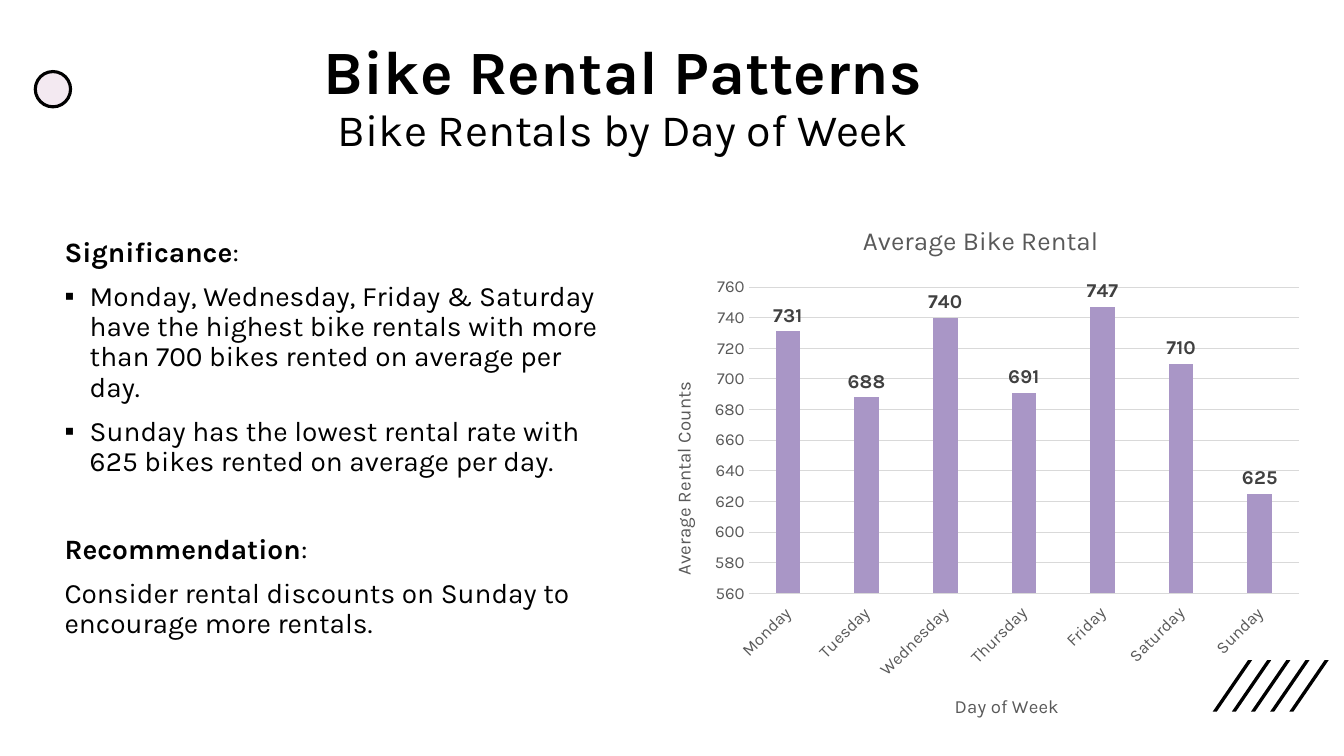
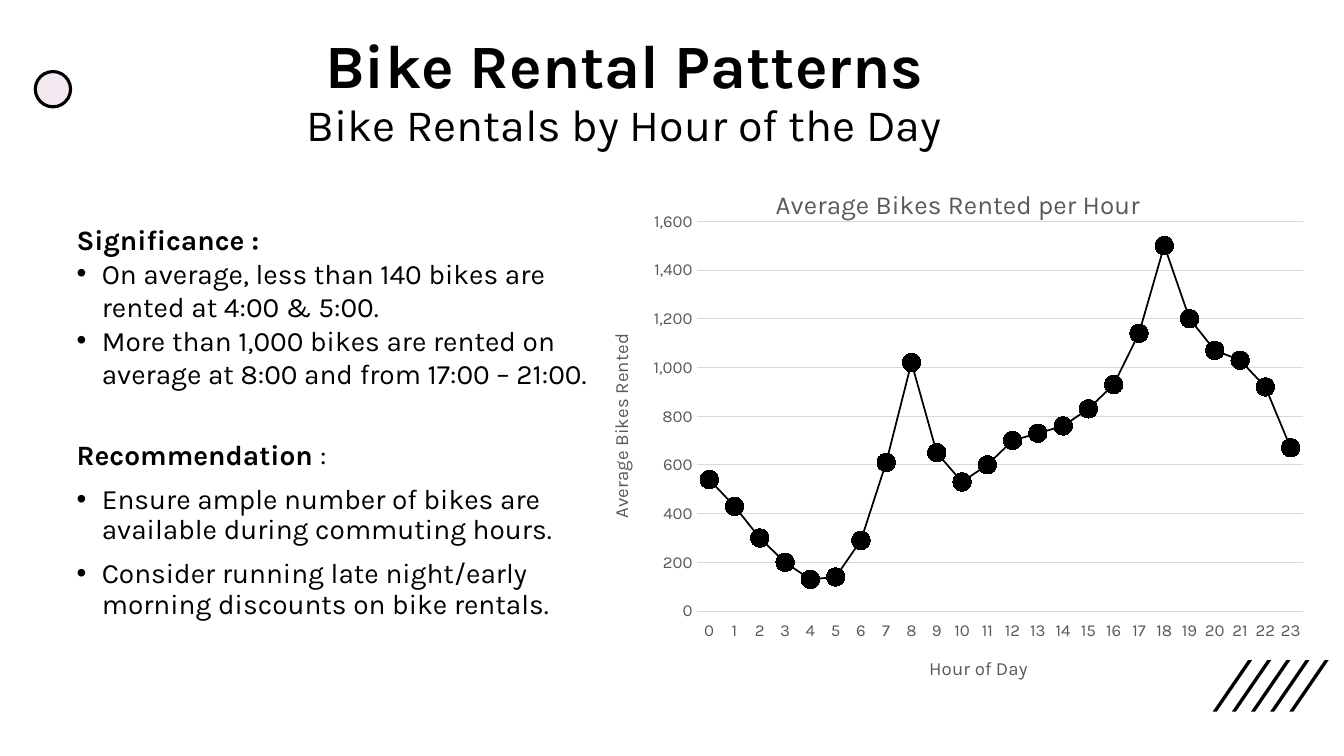
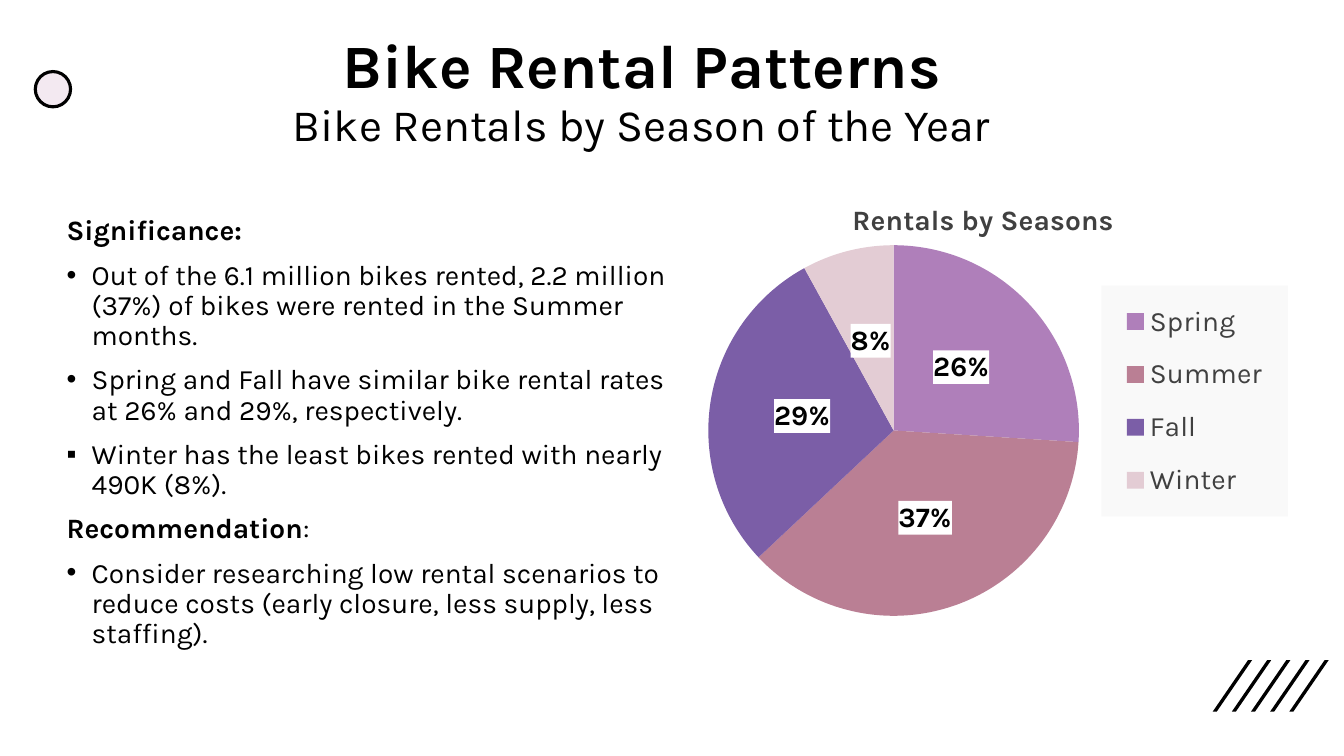
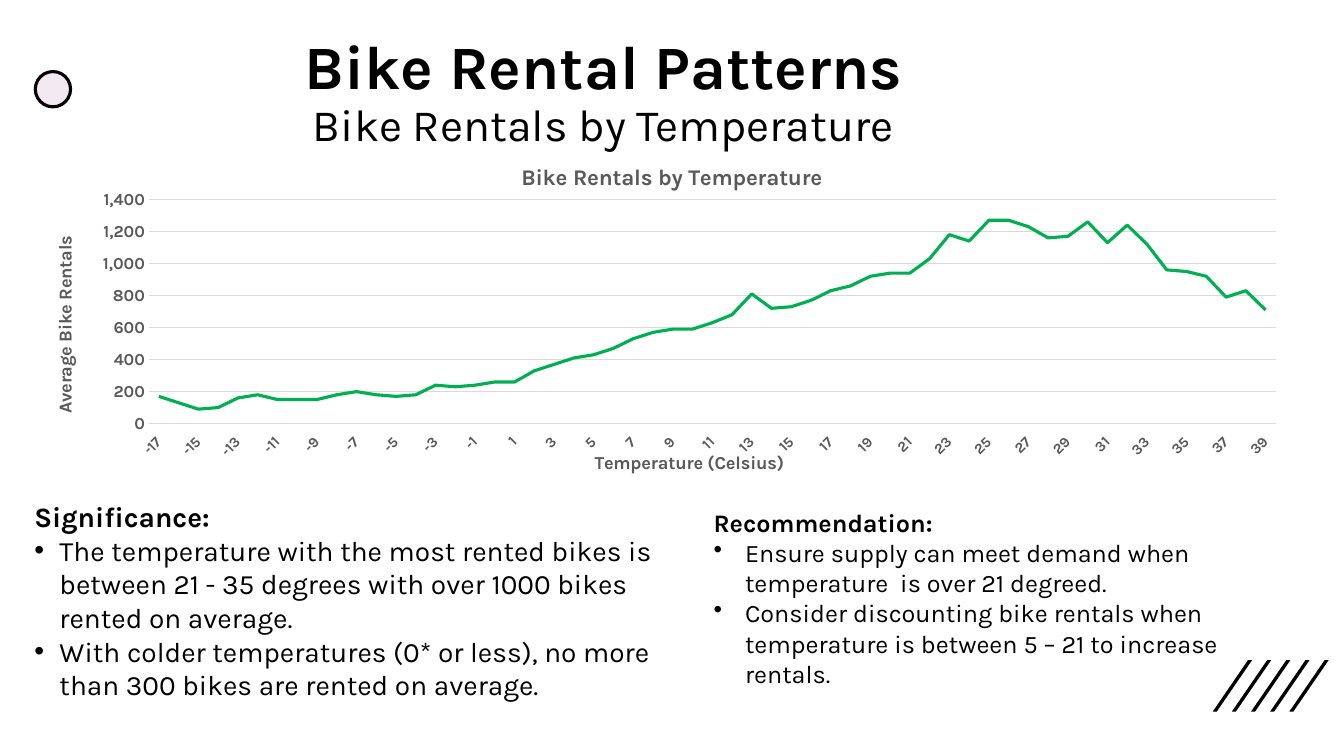
"""Builds four slides on bike rental patterns, each with a chart and findings."""
from pptx import Presentation, oxml
from pptx import util as u
from pptx.chart import data
from pptx.dml import color
from pptx.enum import chart as kinds, shapes, text
from pptx.oxml import ns

FONT = "Karla"
COLORS = {
    "ink": "000000", "blush": "F3E9F1", "white": "FFFFFF", "grey": "595959",
    "charcoal": "404040", "grid": "D9D9D9", "mist": "F9F9F9",
    "lilac": "A996C6", "green": "00B050",
    "spring": "AF7FBA", "summer": "BA7F94", "fall": "7B5EA7", "winter": "E3CCD4",
}
AUTO_ROTATION = -60000000

DAYS = ["Monday", "Tuesday", "Wednesday", "Thursday", "Friday", "Saturday", "Sunday"]
DAY_RENTALS = [731, 688, 740, 691, 747, 710, 625]
HOUR_RENTALS = [540, 430, 300, 200, 130, 140, 290, 610, 1020, 650, 530, 600,
                700, 730, 760, 830, 930, 1140, 1500, 1200, 1070, 1030, 920, 670]
SEASONS = {"Spring": 26, "Summer": 37, "Fall": 29, "Winter": 8}
DEGREES = range(-17, 40)
DEGREE_RENTALS = [170, 130, 90, 100, 160, 180, 150, 150, 150, 180, 200, 180, 170, 180,
                  240, 230, 240, 260, 260, 330, 370, 410, 430, 470, 530, 570, 590, 590,
                  630, 680, 810, 720, 730, 770, 830, 860, 920, 940, 940, 1030, 1180,
                  1140, 1270, 1270, 1230, 1160, 1170, 1260, 1130, 1240, 1120, 960, 950,
                  920, 790, 830, 710]


def rgb(name):
    """Return the named colour."""
    return color.RGBColor.from_string(COLORS[name])


def paint(fill, name):
    """Make a fill solid in the named colour."""
    fill.solid()
    fill.fore_color.rgb = rgb(name)


def style_font(font, size, name="ink", bold=None):
    """Set typeface, size, colour and weight."""
    font.name, font.size, font.bold = FONT, u.Pt(size), bold
    font.color.rgb = rgb(name)


def place(shape, left, top, width, height):
    """Position a shape, in points."""
    shape.left, shape.top = u.Pt(left), u.Pt(top)
    shape.width, shape.height = u.Pt(width), u.Pt(height)


def decorate_layout(layout, page):
    """Give the layout its circle and slanted stripes, drawn by way of a page."""
    for holder in list(layout.placeholders):
        if holder.placeholder_format.idx >= 10:
            holder.element.getparent().remove(holder.element)
    stripes = page.shapes.add_group_shape()
    for index in range(5):
        left = 866.2 + 13.68 * index
        outline = stripes.shapes.build_freeform(u.Pt(left), u.Pt(508.3))
        corners = [(left + 25.2, 471.6), (left + 28.1, 471.6), (left + 2.9, 508.3)]
        outline.add_line_segments([(u.Pt(x), u.Pt(y)) for x, y in corners])
        stripe = outline.convert_to_shape()
        stripe.shadow.inherit = False
        paint(stripe.fill, "ink")
        stripe.line.fill.background()
    circle = page.shapes.add_shape(
        shapes.MSO_SHAPE.OVAL, u.Pt(25.2), u.Pt(51.1), u.Pt(25.2), u.Pt(25.2))
    circle.shadow.inherit = False
    paint(circle.fill, "blush")
    circle.line.color.rgb = rgb("ink")
    circle.line.width = u.Pt(2.25)
    for shape in (stripes, circle):
        layout.shapes.element.append(shape.element)


def write_title(page, subtitle, left, top):
    """Fill the title with the shared heading and a lighter subtitle."""
    title = page.shapes.title
    place(title, left, top, 828, 104.4)
    frame = title.text_frame
    frame.auto_size = text.MSO_AUTO_SIZE.NONE
    frame.vertical_anchor = text.MSO_ANCHOR.MIDDLE
    para = frame.paragraphs[0]
    para.alignment = text.PP_ALIGN.CENTER
    para.line_spacing = 0.9
    heading = para.add_run()
    heading.text = "Bike Rental Patterns"
    para.add_line_break()
    detail = para.add_run()
    detail.text = subtitle
    style_font(heading.font, 44, bold=True)
    style_font(detail.font, 32, bold=False)


def open_body(page, *box):
    """Place the body placeholder and return its text frame."""
    body = page.placeholders[1]
    place(body, *box)
    body.text_frame.auto_size = text.MSO_AUTO_SIZE.NONE
    return body.text_frame


def start_para(frame, size, before, spacing, bullet=None, indent=0):
    """Open the next paragraph with its spacing, bullet and font."""
    para = frame.paragraphs[0]
    if para.runs:
        para = frame.add_paragraph()
    props = para._p.get_or_add_pPr()
    props.set("marL", str(u.Pt(indent)))
    props.set("indent", str(-u.Pt(indent)))
    mark = f'<a:buChar {ns.nsdecls("a")} char="{bullet}"/>' if bullet else f'<a:buNone {ns.nsdecls("a")}/>'
    props.append(oxml.parse_xml(mark))
    para.alignment = text.PP_ALIGN.LEFT
    para.space_before = u.Pt(before)
    para.line_spacing = spacing
    style_font(para.font, size)
    return para


def write_heading(frame, words, tail="", size=20, before=10, spacing=0.9):
    """Write a bold heading with an optional regular tail."""
    para = start_para(frame, size, before, spacing)
    for part, bold in ((words, True), (tail, False)):
        if part:
            span = para.add_run()
            span.text = part
            span.font.bold = bold


def write_points(frame, *points, bullet="•", size=20, before=10, spacing=0.9, indent=18):
    """Write one paragraph for each point."""
    for words in points:
        para = start_para(frame, size, before, spacing, bullet, indent)
        para.add_run().text = words


def set_layout(parent, index, left, top, width, height, inner=False):
    """Fix the place of a chart part, as fractions of the chart."""
    for old in parent.xpath("./c:layout"):
        parent.remove(old)
    target = '<c:layoutTarget val="inner"/>' if inner else ""
    parent.insert(index, oxml.parse_xml(
        f'<c:layout {ns.nsdecls("c")}><c:manualLayout>{target}'
        '<c:xMode val="edge"/><c:yMode val="edge"/>'
        f'<c:x val="{left}"/><c:y val="{top}"/><c:w val="{width}"/><c:h val="{height}"/>'
        '</c:manualLayout></c:layout>'))


def fill_behind(element, name):
    """Fill the background of a legend or of data labels."""
    backing = oxml.parse_xml(
        f'<c:spPr {ns.nsdecls("c", "a")}><a:solidFill><a:srgbClr val="{COLORS[name]}"/>'
        '</a:solidFill></c:spPr>')
    element.xpath("./c:txPr")[0].addprevious(backing)


def write_caption(owner, words, size, name="grey", bold=False):
    """Write the title of a chart or an axis."""
    para = owner.text_frame.paragraphs[0]
    para.add_run().text = words
    style_font(para.font, size, name, bold)


def add_chart(page, kind, box, plot, categories, values, title, size, name="grey", bold=False):
    """Add a one-series chart with a title and a fixed plot area."""
    figures = data.CategoryChartData(number_format="0")
    figures.categories = [str(category) for category in categories]
    figures.add_series("Series 1", values)
    chart = page.shapes.add_chart(kind, *[u.Pt(length) for length in box], figures).chart
    style_font(chart.font, 10)
    chart.has_legend = False
    write_caption(chart.chart_title, title, size, name, bold)
    chart.chart_title.include_in_layout = False
    set_layout(chart.element.xpath(".//c:plotArea")[0], 0, *plot, inner=True)
    chart.plots[0].vary_by_categories = kind == kinds.XL_CHART_TYPE.PIE
    return chart, chart.plots[0].series[0]


def style_axis(axis, title, title_size, size, bold):
    """Apply the shared look of both axes."""
    axis.major_tick_mark = axis.minor_tick_mark = kinds.XL_TICK_MARK.NONE
    style_font(axis.tick_labels.font, size, "grey", bold)
    write_caption(axis.axis_title, title, title_size, bold=bold)


def style_axes(chart, titles, limits, number_format, title_size=13.3, size=12,
               bold=False, rotation=AUTO_ROTATION):
    """Format the category and value axes."""
    across, upright = chart.category_axis, chart.value_axis
    style_axis(across, titles[0], title_size, size, bold)
    style_axis(upright, titles[1], title_size, 12, bold)
    across.tick_label_position = kinds.XL_TICK_LABEL_POSITION.LOW
    across.has_major_gridlines = False
    turn = across.tick_labels.font and across._element.xpath("./c:txPr/a:bodyPr")[0]
    turn.set("rot", str(rotation))
    turn.set("vert", "horz")
    upright.axis_title.text_frame._txBody.bodyPr.set("rot", "-5400000")
    upright.minimum_scale, upright.maximum_scale, upright.major_unit = limits
    upright.tick_labels.number_format = number_format
    upright.tick_labels.number_format_is_linked = False
    upright.format.line.fill.background()
    for line in (across.format.line, upright.major_gridlines.format.line):
        line.color.rgb = rgb("grid")
        line.width = u.Pt(0.75)


def style_line(series, name, width):
    """Draw a straight series line."""
    series.smooth = False
    series.format.line.color.rgb = rgb(name)
    series.format.line.width = u.Pt(width)


def fill_day_page(page):
    """Show rentals by day of week."""
    write_title(page, "Bike Rentals by Day of Week", 31, 18)
    frame = open_body(page, 38.9, 166.3, 403.2, 330.5)
    write_heading(frame, "Significance", ":")
    write_points(
        frame,
        "Monday, Wednesday, Friday & Saturday have the highest bike rentals with more than 700 bikes rented on average per day.",
        "Sunday has the lowest rental rate with 625 bikes rented on average per day.",
        bullet="▪")
    write_heading(frame, "Recommendation", ":", before=41)
    write_points(frame, "Consider rental discounts on Sunday to encourage more rentals.",
                 bullet=None, indent=0)
    chart, series = add_chart(
        page, kinds.XL_CHART_TYPE.COLUMN_CLUSTERED, (463.7, 144.7, 473.8, 377.3),
        (0.15, 0.16, 0.83, 0.58), DAYS, DAY_RENTALS, "Average Bike Rental", 18.6)
    style_axes(chart, ("Day of Week", "Average Rental Counts"), (560, 760, 20), "0",
               rotation=-2700000)
    chart.plots[0].gap_width, chart.plots[0].overlap = 219, -27
    paint(series.format.fill, "lilac")
    labels = series.data_labels
    labels.show_value = True
    labels.position = kinds.XL_LABEL_POSITION.OUTSIDE_END
    style_font(labels.font, 14, "charcoal", True)


def fill_hour_page(page):
    """Show rentals by hour of the day."""
    write_title(page, "Bike Rentals by Hour of the Day", 32, 14.4)
    frame = open_body(page, 47.5, 157.7, 396, 353.5)
    write_heading(frame, "Significance :")
    write_points(
        frame,
        "On average, less than 140 bikes are rented at 4:00 & 5:00.",
        "More than 1,000 bikes are rented on average at 8:00 and from 17:00 – 21:00.",
        before=0, spacing=1.0)
    write_heading(frame, "Recommendation ", ":", before=36)
    write_points(
        frame,
        "Ensure ample number of bikes are available during commuting hours.",
        "Consider running late night/early morning discounts on bike rentals.")
    chart, series = add_chart(
        page, kinds.XL_CHART_TYPE.LINE_MARKERS, (419.8, 118.8, 529.2, 385.2),
        (0.147, 0.102, 0.819, 0.723), range(24), HOUR_RENTALS,
        "Average Bikes Rented per Hour", 18.6)
    style_axes(chart, ("Hour of Day", "Average Bikes Rented"), (0, 1600, 200), "#,##0")
    style_line(series, "ink", 1.25)
    series.marker.style = kinds.XL_MARKER_STYLE.CIRCLE
    series.marker.size = 13
    paint(series.marker.format.fill, "ink")
    series.marker.format.line.color.rgb = rgb("ink")


def fill_season_page(page):
    """Show rentals by season of the year."""
    write_title(page, "Bike Rentals by Season of the Year", 44.6, 14.4)
    frame = open_body(page, 40.3, 151.2, 444.2, 347)
    write_heading(frame, "Significance:")
    write_points(
        frame,
        "Out of the 6.1 million bikes rented, 2.2 million (37%) of bikes were rented in the Summer months.",
        "Spring and Fall have similar bike rental rates at 26% and 29%, respectively.")
    write_points(frame, "Winter has the least bikes rented with nearly 490K (8%).", bullet="▪")
    write_heading(frame, "Recommendation", ":")
    write_points(
        frame,
        "Consider researching low rental scenarios to reduce costs (early closure, less supply, less staffing).")
    chart, series = add_chart(
        page, kinds.XL_CHART_TYPE.PIE, (480.2, 129.6, 444.2, 323.3),
        (0.058, 0.141, 0.596, 0.819), SEASONS, SEASONS.values(),
        "Rentals by Seasons", 20, "charcoal", True)
    for index, season in enumerate(SEASONS):
        paint(series.points[index].format.fill, season.lower())
    labels = series.data_labels
    labels.show_percentage, labels.show_value = True, False
    labels.number_format, labels.number_format_is_linked = "0%", False
    labels.position = kinds.XL_LABEL_POSITION.CENTER
    style_font(labels.font, 20, bold=True)
    fill_behind(labels._element, "white")
    chart.has_legend = True
    legend = chart.legend
    legend.position = kinds.XL_LEGEND_POSITION.RIGHT
    legend.include_in_layout = False
    style_font(legend.font, 20, "charcoal")
    set_layout(legend._element, 1, 0.69, 0.23, 0.3, 0.51)
    fill_behind(legend._element, "mist")


def fill_temperature_page(page):
    """Show rentals by temperature."""
    write_title(page, "Bike Rentals by Temperature", 17.3, 15.1)
    frame = open_body(page, 17.3, 355.7, 490.3, 158.4)
    write_heading(frame, "Significance:")
    write_points(
        frame,
        "The temperature with the most rented bikes is between 21 - 35 degrees with over 1000 bikes rented on average.",
        "With colder temperatures (0* or less), no more than 300 bikes are rented on average.",
        before=0, spacing=1.0)
    chart, series = add_chart(
        page, kinds.XL_CHART_TYPE.LINE, (35.3, 105.1, 889.2, 236.9),
        (0.08, 0.158, 0.905, 0.676), DEGREES, DEGREE_RENTALS,
        "Bike Rentals by Temperature", 16, bold=True)
    style_axes(chart, ("Temperature (Celsius)", "Average Bike Rentals"), (0, 1400, 200),
               "#,##0", title_size=13, size=10.5, bold=True)
    style_line(series, "green", 2.25)
    box = page.shapes.add_textbox(u.Pt(502.6), u.Pt(358.6), u.Pt(413.3), u.Pt(181.4))
    box.text_frame.word_wrap = True
    write_heading(box.text_frame, "Recommendation:", size=18, before=0, spacing=1.0)
    write_points(
        box.text_frame,
        "Ensure supply can meet demand when temperature  is over 21 degreed.",
        "Consider discounting bike rentals when temperature is between 5 – 21 to increase rentals.",
        size=18, before=0, spacing=1.0, indent=22.5)


def main():
    """Build and save the deck."""
    deck = Presentation()
    deck.slide_width, deck.slide_height = u.Pt(960), u.Pt(540)
    layout = deck.slide_layouts[1]
    fillers = (fill_day_page, fill_hour_page, fill_season_page, fill_temperature_page)
    pages = [deck.slides.add_slide(layout) for _ in fillers]
    decorate_layout(layout, pages[0])
    for fill_page, page in zip(fillers, pages):
        fill_page(page)
    deck.save("out.pptx")


if __name__ == "__main__":
    main()
